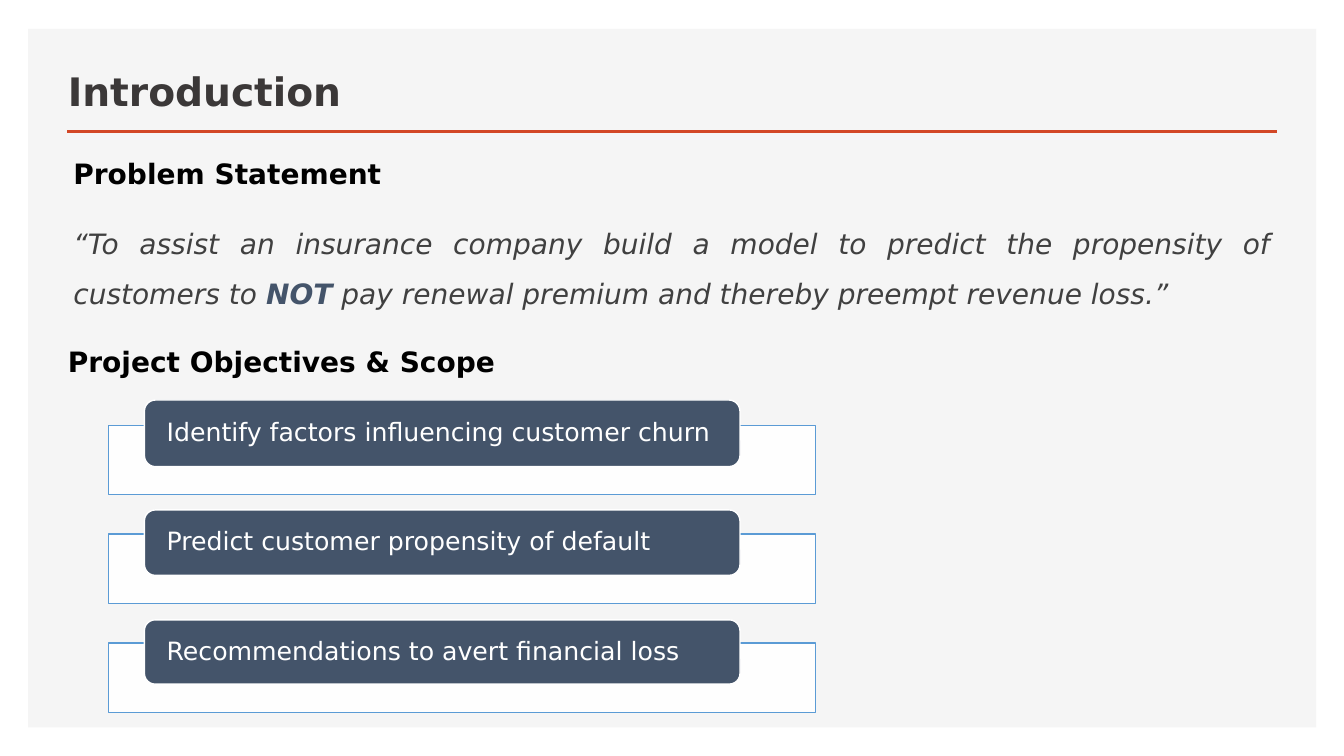
from dataclasses import dataclass

from lxml.etree import SubElement
from pptx import Presentation
from pptx.dml.color import RGBColor
from pptx.enum.shapes import MSO_CONNECTOR, MSO_SHAPE
from pptx.enum.text import MSO_ANCHOR, PP_ALIGN
from pptx.oxml.ns import qn
from pptx.util import Cm, Pt


@dataclass(frozen=True)
class Theme:
    font: str = "DejaVu Sans"
    panel: str = "F5F5F5"
    rule: str = "D24726"
    title: str = "3B3838"
    heading: str = "000000"
    body: str = "404040"
    accent: str = "44546A"
    frame: str = "5B9BD5"
    white: str = "FFFFFF"
    title_size: int = 28
    body_size: int = 20
    label_size: int = 18


THEME = Theme()

OBJECTIVES = [
    "Identify factors influencing customer churn",
    "Predict customer propensity of default",
    "Recommendations to avert financial loss",
]
# Vertical layout of the objectives, in cm
FRAME_TOP, FRAME_PITCH = 10.72, 2.74
LABEL_TOP, LABEL_PITCH = 10.08, 2.77
LABEL_OVERLAP = 1.04


def rgb(value):
    return RGBColor.from_string(value)


def style_run(run, size, color, bold=False, italic=False):
    font = run.font
    font.name = THEME.font
    font.size = Pt(size)
    font.color.rgb = rgb(color)
    font.bold = bold
    font.italic = italic


def add_box(slide, preset, left, top, width, height, fill, line=None, opacity=None):
    shape = slide.shapes.add_shape(preset, Cm(left), Cm(top), Cm(width), Cm(height))
    shape.shadow.inherit = False
    shape.fill.solid()
    shape.fill.fore_color.rgb = rgb(fill)
    if line:
        shape.line.color.rgb = rgb(line)
        shape.line.width = Pt(1)
    else:
        shape.line.fill.background()
    if opacity is not None:
        color = shape.fill._xPr.find(qn("a:solidFill"))[0]
        SubElement(color, qn("a:alpha")).set("val", str(opacity * 1000))
    return shape


def add_rule(slide, left, right, top):
    line = slide.shapes.add_connector(
        MSO_CONNECTOR.STRAIGHT, Cm(left), Cm(top), Cm(right), Cm(top))
    line.line.color.rgb = rgb(THEME.rule)
    line.line.width = Pt(2)
    SubElement(line._element.spPr, qn("a:effectLst"))


def add_text_frame(slide, left, top, width, height):
    box = slide.shapes.add_textbox(Cm(left), Cm(top), Cm(width), Cm(height))
    box.text_frame.word_wrap = True
    return box.text_frame


def add_heading(slide, text, left, top, width, height, size, color):
    frame = add_text_frame(slide, left, top, width, height)
    frame.text = text
    style_run(frame.paragraphs[0].runs[0], size, color, bold=True)
    return frame


def add_statement(slide, parts, left, top, width, height):
    paragraph = add_text_frame(slide, left, top, width, height).paragraphs[0]
    paragraph.alignment = PP_ALIGN.JUSTIFY
    paragraph.line_spacing = 1.5
    paragraph.space_before = Pt(10)
    paragraph.space_after = Pt(12)
    for text, stressed in parts:
        run = paragraph.add_run()
        run.text = text
        color = THEME.accent if stressed else THEME.body
        style_run(run, THEME.body_size, color, bold=stressed, italic=True)


def add_objective(slide, index, text):
    frame_top = FRAME_TOP + index * FRAME_PITCH
    label_top = LABEL_TOP + index * LABEL_PITCH
    label_height = frame_top + LABEL_OVERLAP - label_top
    add_box(slide, MSO_SHAPE.RECTANGLE, 2.74, frame_top, 17.81, 1.75,
            THEME.white, THEME.frame, opacity=90)
    label = add_box(slide, MSO_SHAPE.ROUNDED_RECTANGLE, 3.64, label_top, 15.01,
                    label_height, THEME.accent, THEME.white)
    frame = label.text_frame
    frame.word_wrap = True
    frame.vertical_anchor = MSO_ANCHOR.MIDDLE
    frame.margin_left = frame.margin_right = Cm(0.48)
    frame.margin_top = frame.margin_bottom = 0
    frame.text = text
    paragraph = frame.paragraphs[0]
    paragraph.alignment = PP_ALIGN.LEFT
    paragraph.line_spacing = 0.9
    style_run(paragraph.runs[0], THEME.label_size, THEME.white)


def main():
    presentation = Presentation()
    presentation.slide_width = Cm(33.87)
    presentation.slide_height = Cm(19.05)
    slide = presentation.slides.add_slide(presentation.slide_layouts[6])

    # Background panel and title
    add_box(slide, MSO_SHAPE.RECTANGLE, 0.71, 0.73, 32.46, 17.6, THEME.panel)
    add_rule(slide, 1.69, 32.18, 3.32)
    title = add_heading(slide, "Introduction", 1.46, 1.24, 19.1, 1.78,
                        THEME.title_size, THEME.title)
    title.vertical_anchor = MSO_ANCHOR.BOTTOM

    # Problem statement
    add_heading(slide, "Problem Statement", 1.6, 3.83, 15, 1.11,
                THEME.body_size, THEME.heading)
    add_statement(slide, [
        ("“To assist an insurance company build a model to predict "
         "the propensity of customers to ", False),
        ("NOT", True),
        (" pay renewal premium and thereby preempt revenue loss.”", False),
    ], 1.6, 5.16, 30.68, 3.2)

    # Objectives
    add_heading(slide, "Project Objectives & Scope", 1.46, 8.56, 15, 1.11,
                THEME.body_size, THEME.heading)
    for index, text in enumerate(OBJECTIVES):
        add_objective(slide, index, text)

    presentation.save("out.pptx")


if __name__ == "__main__":
    main()
